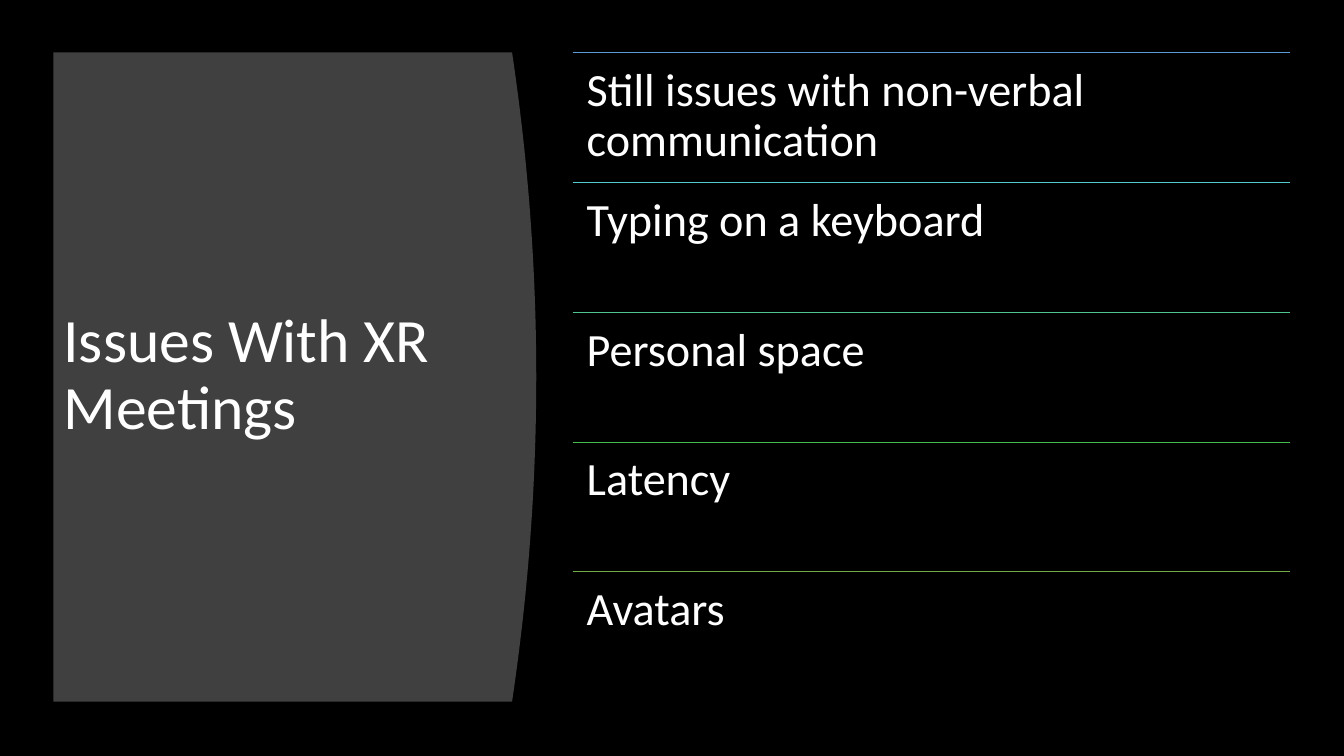
"""Build a dark slide with a curved title panel and five ruled rows of issues."""
from pptx import Presentation
from pptx import util as u
from pptx.dml.color import RGBColor
from pptx.enum import shapes, text
from pptx.oxml.ns import qn
from lxml import etree

theme = {
    "back": "000000", "panel": "404040", "ink": "FFFFFF", "font": "Calibri",
    "title": 44, "row": 33, "rule": 0.5,
}
issues = [
    ("Still issues with non-verbal communication", "5B9BD5"),
    ("Typing on a keyboard", "54CCCD"),
    ("Personal space", "4DC58D"),
    ("Latency", "48BB4F"),
    ("Avatars", "70AD47"),
]


def rgb(name):
    return RGBColor.from_string(theme.get(name, name))


def write(box, words, size, pad, anchor, after=0):
    frame = box.text_frame
    frame.word_wrap = True
    frame.auto_size = text.MSO_AUTO_SIZE.NONE
    frame.vertical_anchor = anchor
    frame.margin_left = frame.margin_right = u.Inches(pad)
    frame.margin_top = frame.margin_bottom = u.Inches(pad)
    para = frame.paragraphs[0]
    para.alignment = text.PP_ALIGN.LEFT
    para.line_spacing = 0.9
    para.space_after = u.Pt(after)
    run = para.add_run()
    run.text = words
    run.font.name = theme["font"]
    run.font.size = u.Pt(size)
    run.font.color.rgb = rgb("ink")


deck = Presentation()
deck.slide_width, deck.slide_height = u.Inches(13.333), u.Inches(7.5)
slide = deck.slides.add_slide(deck.slide_layouts[5])
slide.background.fill.solid()
slide.background.fill.fore_color.rgb = rgb("back")

top, tall = 0.52, 6.44
left, edge, bulge = 0.53, 5.08, 0.24
steps = 48
curve = []
for i in range(steps + 1):
    part = i / steps
    across = edge + bulge * 4 * part * (1 - part)
    curve.append((u.Inches(across), u.Inches(top + tall * part)))
pen = slide.shapes.build_freeform(u.Inches(left), u.Inches(top))
pen.add_line_segments(curve + [(u.Inches(left), u.Inches(top + tall))], close=True)
panel = pen.convert_to_shape()
panel.shadow.inherit = False
panel.fill.solid()
panel.fill.fore_color.rgb = rgb("panel")
panel.line.fill.background()

title = slide.shapes.title
title.left, title.top = u.Inches(left), u.Inches(1.11)
title.width, title.height = u.Inches(4.57), u.Inches(5.24)
write(title, "Issues With XR Meetings", theme["title"], 0.1, text.MSO_ANCHOR.MIDDLE)
tree = slide.shapes._spTree
tree.remove(title.element)
tree.append(title.element)

start, wide = 5.68, 7.12
step = tall / len(issues)
for i, (words, tint) in enumerate(issues):
    x, y, end = u.Inches(start), u.Inches(top + i * step), u.Inches(start + wide)
    rule = slide.shapes.add_connector(shapes.MSO_CONNECTOR.STRAIGHT, x, y, end, y)
    rule.line.color.rgb = rgb(tint)
    rule.line.width = u.Pt(theme["rule"])
    etree.SubElement(rule.element.spPr, qn("a:effectLst"))
    box = slide.shapes.add_textbox(x, y, u.Inches(wide), u.Inches(step))
    write(box, words, theme["row"], 0.14, text.MSO_ANCHOR.TOP, after=0.35 * theme["row"])

deck.save("out.pptx")
